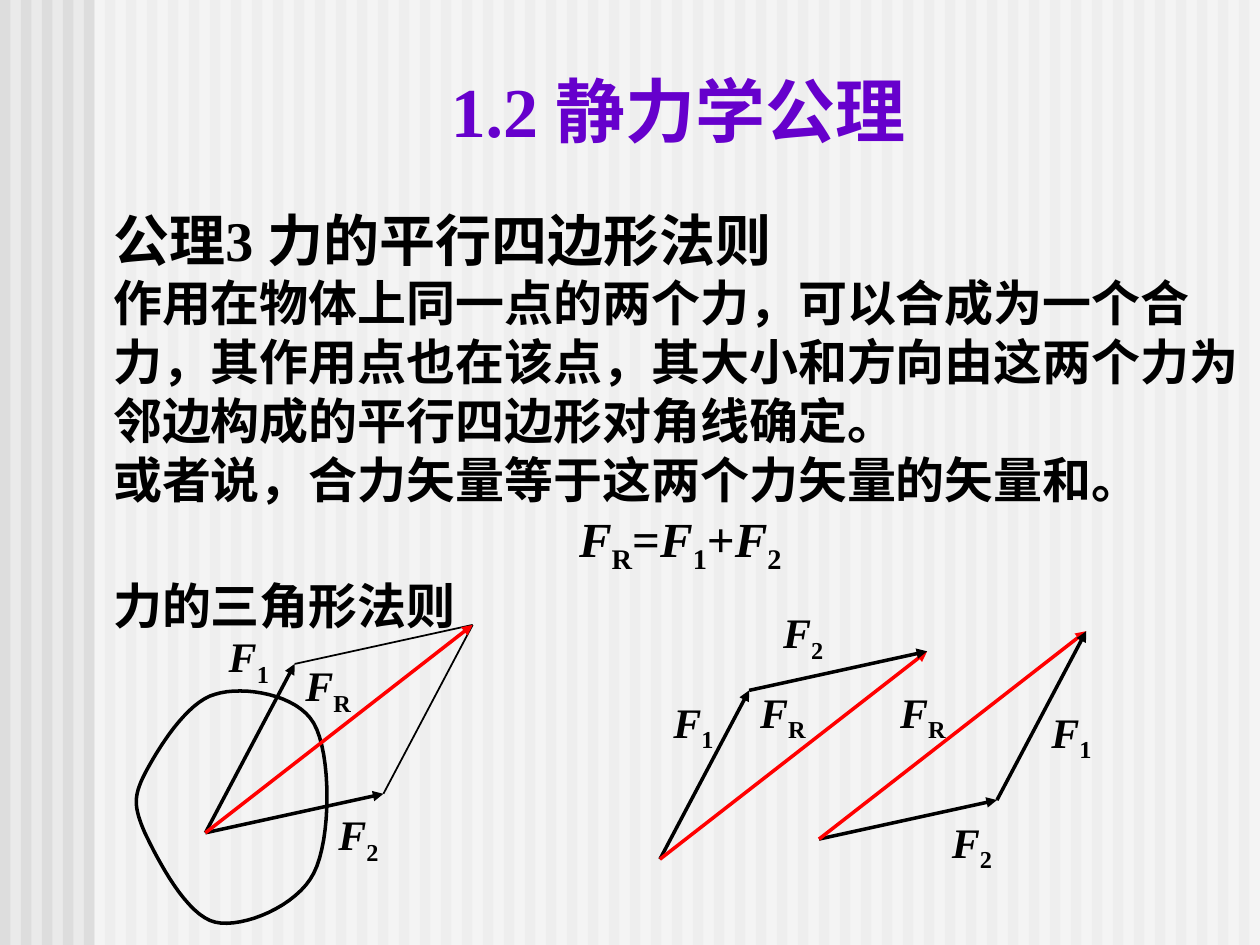
from lxml.etree import SubElement
from pptx import Presentation
from pptx.dml.color import RGBColor
from pptx.enum.shapes import MSO_CONNECTOR, MSO_SHAPE
from pptx.enum.text import MSO_ANCHOR, PP_ALIGN
from pptx.oxml.ns import qn
from pptx.util import Pt

BLACK, RED, PURPLE = "000000", "FF0000", "6600CC"


def color(code):
    return RGBColor.from_string(code)


def shift(spot, move):
    return spot[0] + move[0], spot[1] + move[1]


class Board:
    font = "Times New Roman"

    def __init__(self, page):
        self.page = page

    def style(self, run, size, hue=BLACK):
        run.font.name, run.font.size, run.font.bold = self.font, Pt(size), True
        run.font.color.rgb = color(hue)

    def rect(self, left, width, hue, alpha=None):
        box = self.page.shapes.add_shape(
            MSO_SHAPE.RECTANGLE, Pt(left), 0, Pt(width), Pt(540))
        box.shadow.inherit = False
        box.fill.solid()
        box.fill.fore_color.rgb = color(hue)
        box.line.fill.background()
        if alpha:
            tint = box._element.spPr.find(".//" + qn("a:srgbClr"))
            SubElement(tint, qn("a:alpha")).set("val", str(alpha * 1000))

    def box(self, left, top, width, height, anchor, wrap=True, home=None):
        shapes = (home or self.page).shapes
        frame = shapes.add_textbox(Pt(left), Pt(top), Pt(width), Pt(height)).text_frame
        frame.word_wrap, frame.vertical_anchor = wrap, anchor
        return frame

    def plain(self, para, text, size, hue=BLACK):
        para.text = text
        para._p.get_or_add_pPr().set("hangingPunct", "0")
        for run in para.runs:
            self.style(run, size, hue)

    def math(self, para, text, size):
        """F is italic, signs are upright, the rest is subscript."""
        para.alignment = PP_ALIGN.CENTER
        for sign in text:
            run = para.add_run()
            run.text = sign
            self.style(run, size)
            run.font.italic = sign == "F"
            if sign not in "F=+":
                run.font._element.set("baseline", "-25000")

    def line(self, start, end, hue=BLACK, width=1, head=False, home=None):
        link = (home or self.page).shapes.add_connector(
            MSO_CONNECTOR.STRAIGHT, *(Pt(v) for v in (*start, *end)))
        link.line.color.rgb = color(hue)
        link.line.width = Pt(width)
        if head:
            SubElement(link.line._get_or_add_ln(), qn("a:tailEnd")).set("type", "triangle")
        SubElement(link._element.spPr, qn("a:effectLst"))

    def force(self, start, move, name, left, top, hue=BLACK):
        group = self.page.shapes.add_group_shape()
        self.line(start, shift(start, move), hue, 2, True, group)
        frame = self.box(left, top, 28, 28, MSO_ANCHOR.MIDDLE, False, group)
        frame.margin_left = frame.margin_right = 0
        self.math(frame.paragraphs[0], name, 24)

    def curve(self, start, parts, steps=16):
        """Closed outline through cubic curves."""
        dots, last = [], start
        for one, two, end in parts:
            for step in range(1, steps + 1):
                t = step / steps
                u = 1 - t
                dots.append(tuple(
                    Pt(u**3 * a + 3 * u * u * t * b + 3 * u * t * t * c + t**3 * d)
                    for a, b, c, d in zip(last, one, two, end)))
            last = end
        pen = self.page.shapes.build_freeform(Pt(start[0]), Pt(start[1]))
        pen.add_line_segments(dots, close=True)
        shape = pen.convert_to_shape()
        shape.shadow.inherit = False
        shape.fill.background()
        shape.line.color.rgb = color(BLACK)
        shape.line.width = Pt(2)


def main():
    deck = Presentation()
    deck.slide_width, deck.slide_height = Pt(720), Pt(540)
    page = deck.slides.add_slide(deck.slide_layouts[6])
    board = Board(page)

    # Striped ground under a pale veil
    page.background.fill.solid()
    page.background.fill.fore_color.rgb = color("EAEAEA")
    for i in range(60):
        board.rect(12 * i, 6, "DDDDDD")
    board.rect(54, 666, "FFFFFF", 50)

    # Title
    title = board.box(66, 34.5, 643, 55.5, MSO_ANCHOR.BOTTOM).paragraphs[0]
    title.alignment = PP_ALIGN.CENTER
    board.plain(title, "1.2 静力学公理", 40, PURPLE)

    # Axiom text
    body = board.box(57.6, 114, 662.4, 390, MSO_ANCHOR.TOP)
    board.plain(body.paragraphs[0], "公理3 力的平行四边形法则", 32)
    for text in (
        "作用在物体上同一点的两个力，可以合成为一个合力，其作用点也在该点，"
        "其大小和方向由这两个力为邻边构成的平行四边形对角线确定。",
        "或者说，合力矢量等于这两个力矢量的矢量和。",
    ):
        board.plain(body.add_paragraph(), text, 28)
    board.math(body.add_paragraph(), "FR=F1+F2", 28)
    board.plain(body.add_paragraph(), "力的三角形法则", 28)

    # Body on which the forces act
    board.curve((82.8, 442.1), [
        ((90, 428.4), (106.6, 401), (123.1, 396.7)),
        ((139, 391.7), (169.9, 396.7), (179.3, 413.3)),
        ((189.4, 430.6), (189.4, 479.5), (179.3, 499)),
        ((169.9, 517.7), (139, 530.6), (123.1, 527)),
        ((106.6, 523.4), (90, 491), (82.8, 475.9)),
        ((76.3, 460.8), (76.3, 455), (82.8, 442.1)),
    ])

    # Force vectors and the points where they start
    one, two = (51, -96.5), (101.7, -22.3)
    total = shift(one, two)
    base, left, right = (117.4, 475.9), (377.1, 491), (468, 479.5)

    # Parallelogram
    for side in (two, one):
        board.line(shift(base, side), shift(base, total))
    board.force(base, one, "F1", 128.2, 362.9)
    board.force(base, two, "F2", 190.8, 464.4)
    board.force(base, total, "FR", 173.5, 379.4, RED)

    # Two force triangles
    board.force(right, two, "F2", 541.4, 468.7)
    board.force(left, one, "F1", 382.3, 400.3)
    board.force(left, total, "FR", 433.4, 394.6, RED)
    board.force(shift(left, one), two, "F2", 445, 349.2)
    board.force(right, total, "FR", 513.4, 394.6, RED)
    board.force(shift(right, two), one, "F1", 598.3, 406)

    deck.save("out.pptx")


if __name__ == "__main__":
    main()
